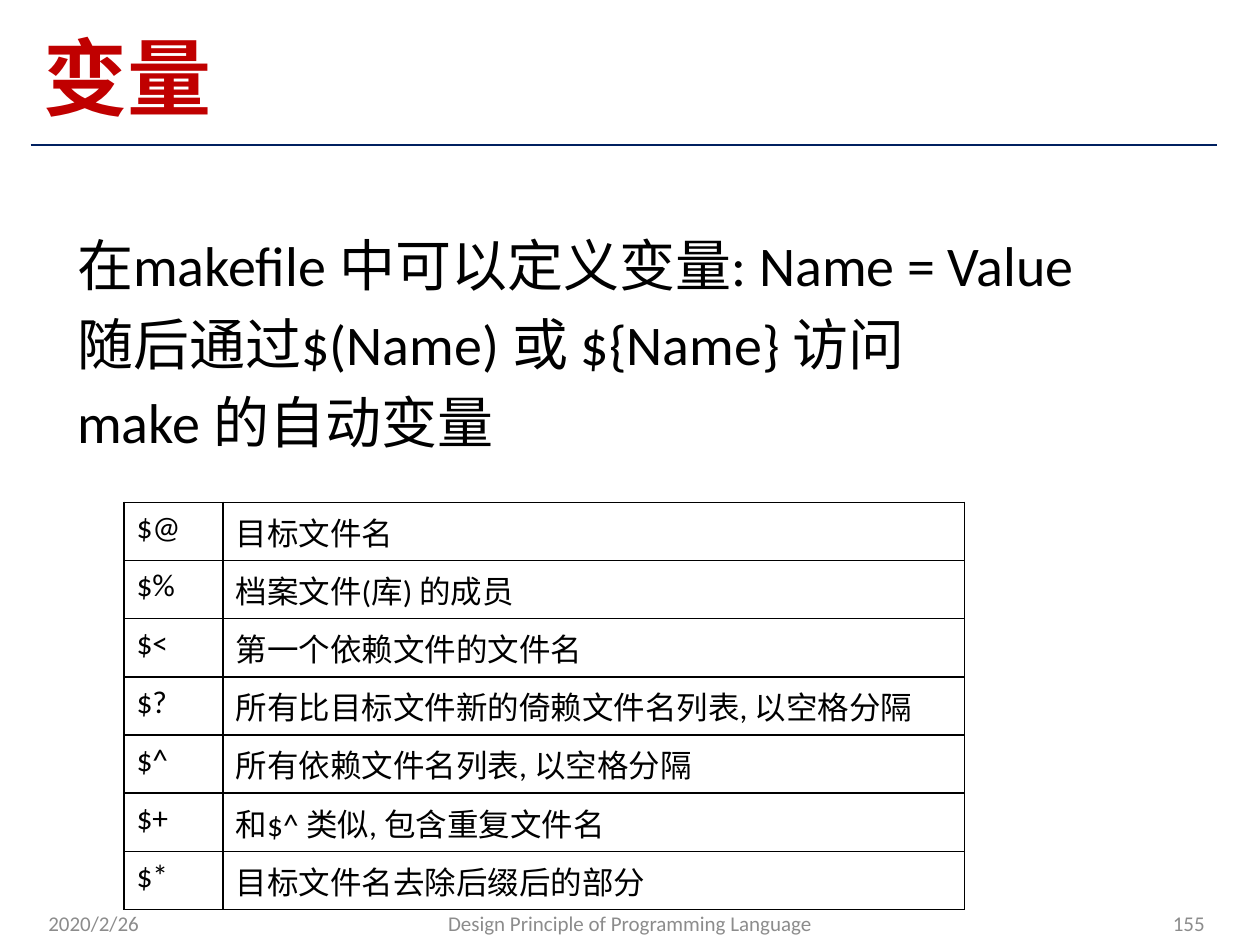
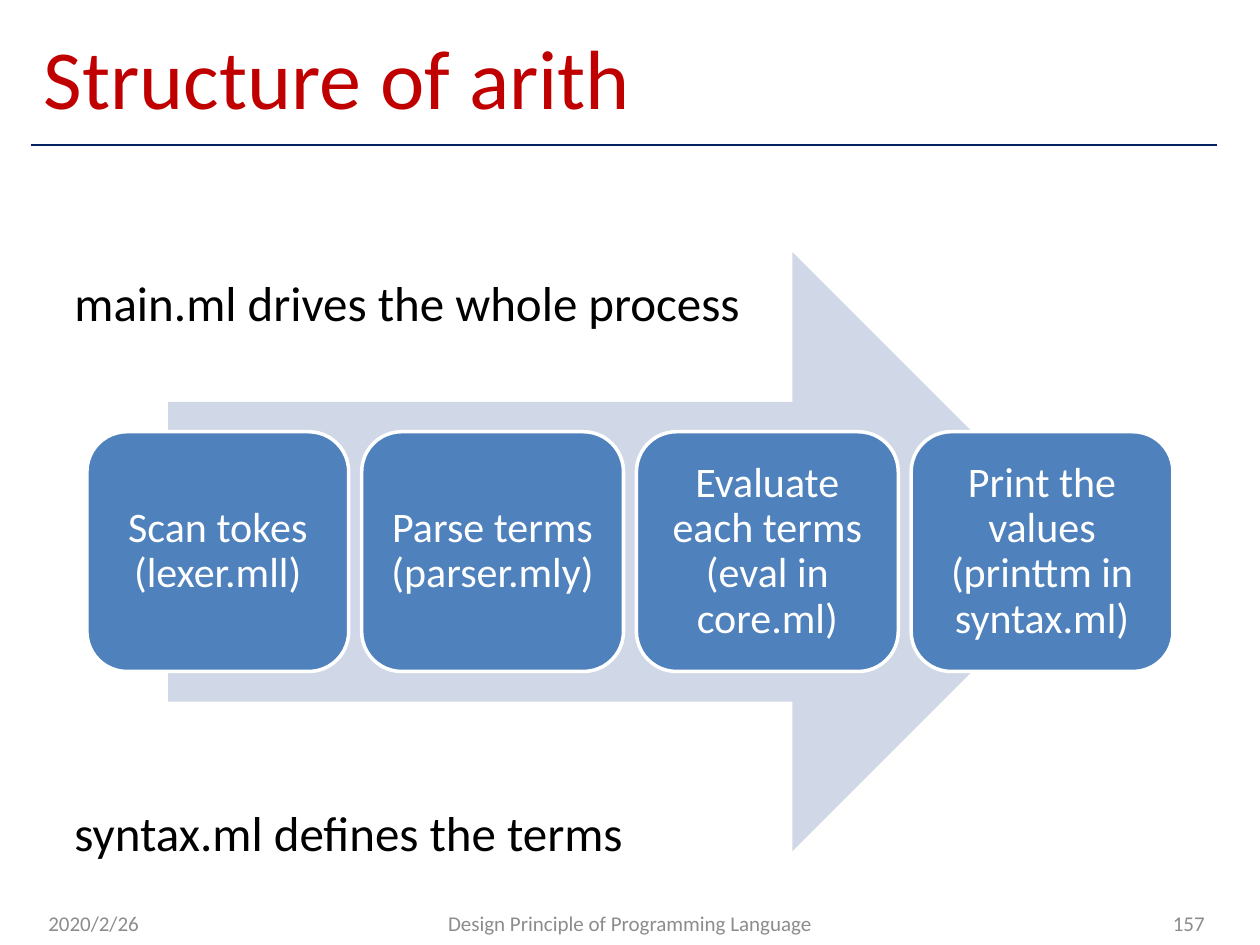
from lxml.etree import SubElement
from pptx import Presentation
from pptx.dml.color import RGBColor
from pptx.enum.shapes import MSO_CONNECTOR, MSO_SHAPE
from pptx.enum.text import MSO_ANCHOR, MSO_AUTO_SIZE, PP_ALIGN
from pptx.oxml import parse_xml
from pptx.oxml.ns import nsdecls, qn
from pptx.util import Pt

COLORS = {
    "title": "C00000",
    "rule": "002060",
    "text": "000000",
    "footer": "8C8C8C",
    "arrow": "D0D8E8",
    "step": "4F81BD",
    "white": "FFFFFF",
}
LATIN_FONT = "Calibri"
CHINESE_FONT = "Noto Sans CJK SC"


def write_text(frame, lines, size, color, font=LATIN_FONT, bold=False, **paragraph_format):
    """Fill a text frame with one paragraph per line, all in the same format."""
    for index, line in enumerate(lines):
        paragraph = frame.paragraphs[0] if index == 0 else frame.add_paragraph()
        for name, value in paragraph_format.items():
            if index > 0 or name != "space_before":
                setattr(paragraph, name, value)
        run = paragraph.add_run()
        run.text = line
        for name, value in {"name": font, "size": Pt(size), "bold": bold}.items():
            setattr(run.font, name, value)
        run.font.color.rgb = RGBColor.from_string(COLORS[color])
        SubElement(run.font._element, qn("a:ea"), typeface=CHINESE_FONT)


def add_text(slide, box, lines, size, color, frame_format=None, **text_format):
    frame = slide.shapes.add_textbox(*map(Pt, box)).text_frame
    for name, value in {"word_wrap": True, **(frame_format or {})}.items():
        setattr(frame, name, value)
    write_text(frame, lines, size, color, **text_format)


presentation = Presentation()
presentation.slide_width = Pt(720)
presentation.slide_height = Pt(540)
middle = {"vertical_anchor": MSO_ANCHOR.MIDDLE}

# Title, rule and footer of every slide
pages = [
    ("变量", {"font": CHINESE_FONT, "bold": True}, "155"),
    ("Structure of arith", {}, "157"),
]
slides = []
for title, title_format, number in pages:
    slide = presentation.slides.add_slide(presentation.slide_layouts[6])
    slides.append(slide)
    rule = slide.shapes.add_connector(
        MSO_CONNECTOR.STRAIGHT, Pt(17.5), Pt(82.8), Pt(695.5), Pt(82.8))
    rule.line.width = Pt(1.5)
    rule.line.color.rgb = RGBColor.from_string(COLORS["rule"])
    SubElement(rule._element.spPr, qn("a:effectLst"))
    add_text(slide, (18, 9.5, 654, 67.5), [title], 48, "title", middle, **title_format)
    footers = [
        (20.5, 168, "2020/2/26", PP_ALIGN.LEFT),
        (246, 228, "Design Principle of Programming Language", PP_ALIGN.CENTER),
        (527.5, 168, number, PP_ALIGN.RIGHT),
    ]
    for left, width, text, alignment in footers:
        add_text(slide, (left, 513, width, 28.8), [text], 12, "footer", middle,
                 alignment=alignment)

variables_slide, structure_slide = slides

# Makefile variables
add_text(
    variables_slide, (37, 128.4, 648, 144),
    ["在makefile 中可以定义变量: Name = Value",
     "随后通过$(Name) 或 ${Name} 访问",
     "make 的自动变量"],
    32, "text", space_before=Pt(6.4))

automatic_variables = [
    ("$@", "目标文件名"),
    ("$%", "档案文件(库) 的成员"),
    ("$<", "第一个依赖文件的文件名"),
    ("$?", "所有比目标文件新的倚赖文件名列表, 以空格分隔"),
    ("$^", "所有依赖文件名列表, 以空格分隔"),
    ("$+", "和$^ 类似, 包含重复文件名"),
    ("$*", "目标文件名去除后缀后的部分"),
]
row_height = 33.27
column_widths = (56.7, 423.5)
table = variables_slide.shapes.add_table(
    len(automatic_variables), len(column_widths), Pt(70.8), Pt(287),
    Pt(sum(column_widths)), Pt(row_height * len(automatic_variables))).table
table.first_row = False
table.horz_banding = False
for column, width in zip(table.columns, column_widths):
    column.width = Pt(width)
for row, texts in zip(table.rows, automatic_variables):
    row.height = Pt(row_height)
    for cell, text in zip(row.cells, texts):
        write_text(cell.text_frame, [text], 18, "text")
        properties = cell._tc.get_or_add_tcPr()
        for side in ("lnL", "lnR", "lnT", "lnB"):
            properties.append(parse_xml(
                f'<a:{side} {nsdecls("a")} w="{Pt(1)}"><a:solidFill>'
                f'<a:srgbClr val="{COLORS["text"]}"/></a:solidFill></a:{side}>'))
        cell.fill.background()

# Processing steps on a wide arrow
arrow = structure_slide.shapes.add_shape(
    MSO_SHAPE.RIGHT_ARROW, Pt(96), Pt(144), Pt(528), Pt(342.5))
arrow.shadow.inherit = False
arrow.fill.solid()
arrow.fill.fore_color.rgb = RGBColor.from_string(COLORS["arrow"])
arrow.line.fill.background()

steps = [
    "Scan tokes (lexer.mll)",
    "Parse terms (parser.mly)",
    "Evaluate each terms (eval in core.ml)",
    "Print the values (printtm in syntax.ml)",
]
step_width, step_gap = 149.6, 7.4
step_frame_format = {
    "word_wrap": True,
    **middle,
    **{f"margin_{side}": Pt(7.2) for side in ("left", "right", "top", "bottom")},
}
for index, text in enumerate(steps):
    step = structure_slide.shapes.add_shape(
        MSO_SHAPE.ROUNDED_RECTANGLE, Pt(49.7 + index * (step_width + step_gap)),
        Pt(246.7), Pt(step_width), Pt(137))
    step.shadow.inherit = False
    step.fill.solid()
    step.fill.fore_color.rgb = RGBColor.from_string(COLORS["step"])
    step.line.width = Pt(2)
    step.line.color.rgb = RGBColor.from_string(COLORS["white"])
    for name, value in step_frame_format.items():
        setattr(step.text_frame, name, value)
    write_text(step.text_frame, [text], 24, "white",
               alignment=PP_ALIGN.CENTER, line_spacing=0.9)

remarks = [
    (152.2, 399, "main.ml drives the whole process"),
    (455, 340.5, "syntax.ml defines the terms"),
]
for top, width, text in remarks:
    add_text(structure_slide, (35.5, top, width, 41), [text], 28, "text",
             {"word_wrap": False, "auto_size": MSO_AUTO_SIZE.SHAPE_TO_FIT_TEXT})

presentation.save("out.pptx")
